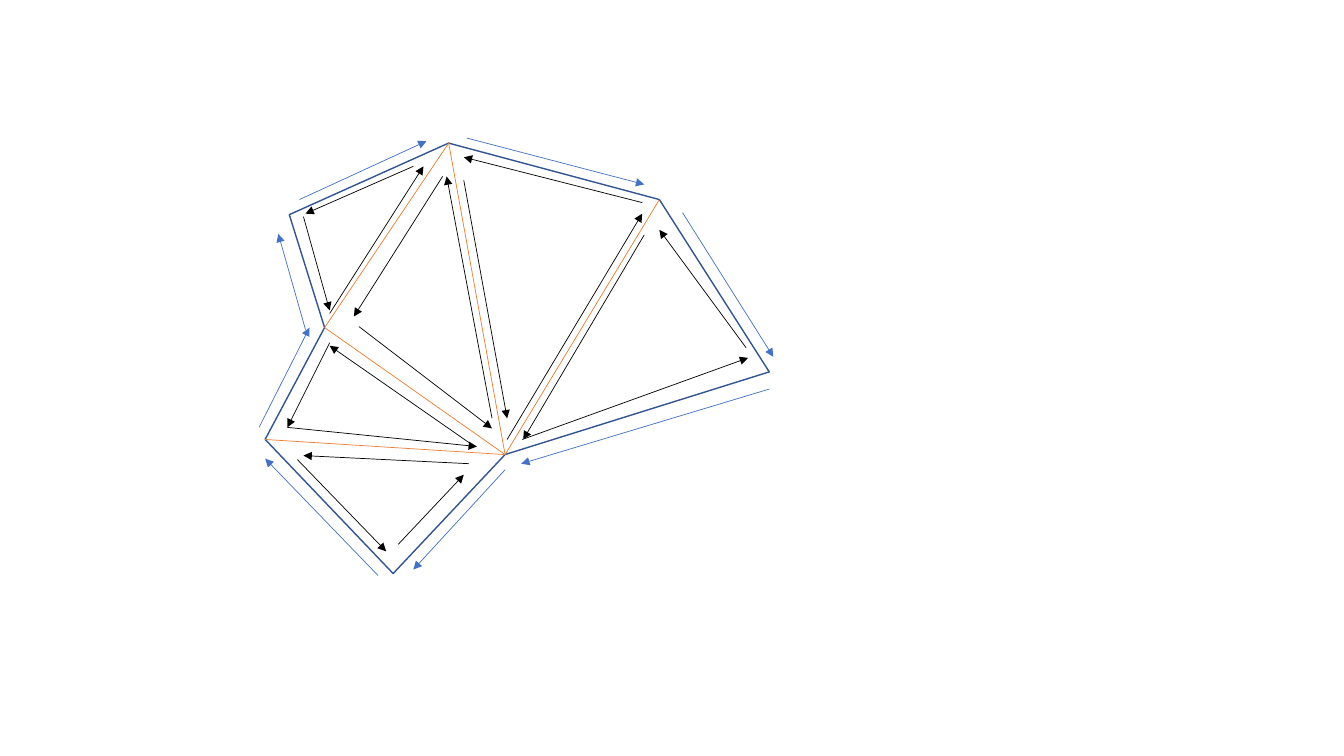
"""Draw a triangulated polygon with arrows circling its triangles and its outline."""
from dataclasses import dataclass

import pptx
import pptx.dml.color
import pptx.enum.shapes
import pptx.oxml
import pptx.oxml.ns
import pptx.shapes.connector
import pptx.slide
import pptx.util

Point = tuple[float, float]


@dataclass(frozen=True)
class Theme:
    outline: str = "325491"
    diagonal: str = "ED7D31"
    inner_arrow: str = "000000"
    outer_arrow: str = "4472C4"
    outline_width: float = 1
    thin_width: float = 0.5


@dataclass(frozen=True)
class Segment:
    start: Point
    end: Point
    color: str
    arrow: bool = True


THEME = Theme()

VERTICES: dict[str, Point] = {
    "top": (4.45, 1.42),
    "upper_right": (6.54, 1.98),
    "far_right": (7.63, 3.69),
    "hub": (5.01, 4.51),
    "bottom": (3.9, 5.69),
    "lower_left": (2.63, 4.36),
    "notch": (3.22, 3.25),
    "upper_left": (2.87, 2.13),
}

DIAGONALS = [
    ("top", "hub"),
    ("upper_right", "hub"),
    ("notch", "top"),
    ("notch", "hub"),
    ("lower_left", "hub"),
]

TRIANGLE_ARROWS: list[list[tuple[Point, Point]]] = [
    [((5.03, 4.36), (6.37, 2.12)), ((6.37, 2.01), (4.6, 1.56)), ((4.6, 1.79), (5.03, 4.15))],
    [((6.39, 2.33), (5.19, 4.36)), ((5.18, 4.36), (7.42, 3.55)), ((7.4, 3.45), (6.54, 2.28))],
    [((4.88, 4.15), (4.43, 1.75)), ((4.39, 1.75), (3.51, 3.14)), ((3.56, 3.24), (4.88, 4.25))],
    [((4.1, 1.65), (3.03, 2.12)), ((3.01, 2.15), (3.27, 3.08)), ((3.27, 3.11), (4.2, 1.65))],
    [((3.27, 3.4), (2.85, 4.24)), ((2.85, 4.24), (4.73, 4.43)), ((4.65, 4.39), (3.27, 3.43))],
    [((4.65, 4.6), (3.01, 4.52)), ((2.95, 4.56), (3.83, 5.47)), ((3.95, 5.4), (4.6, 4.71))],
]

OUTER_ARROWS: list[tuple[Point, Point]] = [
    ((5.01, 4.66), (4.1, 5.65)),
    ((3.75, 5.71), (2.63, 4.55)),
    ((2.57, 4.24), (3.07, 3.25)),
    ((3.03, 3.27), (2.76, 2.32)),
    ((2.97, 1.98), (4.23, 1.4)),
    ((4.63, 1.37), (6.39, 1.83)),
    ((6.77, 2.11), (7.67, 3.54)),
    ((7.63, 3.86), (5.17, 4.6)),
]


def to_lengths(point: Point) -> tuple[pptx.util.Length, pptx.util.Length]:
    return pptx.util.Inches(point[0]), pptx.util.Inches(point[1])


def format_line(line: pptx.dml.line.LineFormat, color: str, width: float) -> None:
    line.color.rgb = pptx.dml.color.RGBColor.from_string(color)
    line.width = pptx.util.Pt(width)


def draw_polygon(slide: pptx.slide.Slide, points: list[Point]) -> None:
    start, *others = [to_lengths(point) for point in points]
    builder = slide.shapes.build_freeform(*start, scale=1.0)
    builder.add_line_segments(others, close=True)
    shape = builder.convert_to_shape()
    shape.shadow.inherit = False
    shape.fill.background()
    format_line(shape.line, THEME.outline, THEME.outline_width)


def draw_segment(slide: pptx.slide.Slide, segment: Segment) -> None:
    connector = slide.shapes.add_connector(
        pptx.enum.shapes.MSO_CONNECTOR.STRAIGHT,
        *to_lengths(segment.start),
        *to_lengths(segment.end),
    )
    format_line(connector.line, segment.color, THEME.thin_width)
    properties = connector._element.spPr
    if segment.arrow:
        tail = pptx.oxml.parse_xml(
            f'<a:tailEnd {pptx.oxml.ns.nsdecls("a")} type="triangle"/>'
        )
        properties.find(pptx.oxml.ns.qn("a:ln")).append(tail)
    properties.append(pptx.oxml.parse_xml(f'<a:effectLst {pptx.oxml.ns.nsdecls("a")}/>'))


def main() -> None:
    presentation = pptx.Presentation()
    presentation.slide_width = pptx.util.Inches(13.33)
    presentation.slide_height = pptx.util.Inches(7.5)
    slide = presentation.slides.add_slide(presentation.slide_layouts[6])

    draw_polygon(slide, list(VERTICES.values()))
    segments = [
        Segment(VERTICES[start], VERTICES[end], THEME.diagonal, arrow=False)
        for start, end in DIAGONALS
    ]
    segments += [
        Segment(start, end, THEME.inner_arrow)
        for triangle in TRIANGLE_ARROWS
        for start, end in triangle
    ]
    segments += [Segment(start, end, THEME.outer_arrow) for start, end in OUTER_ARROWS]
    for segment in segments:
        draw_segment(slide, segment)

    presentation.save("out.pptx")


if __name__ == "__main__":
    main()
